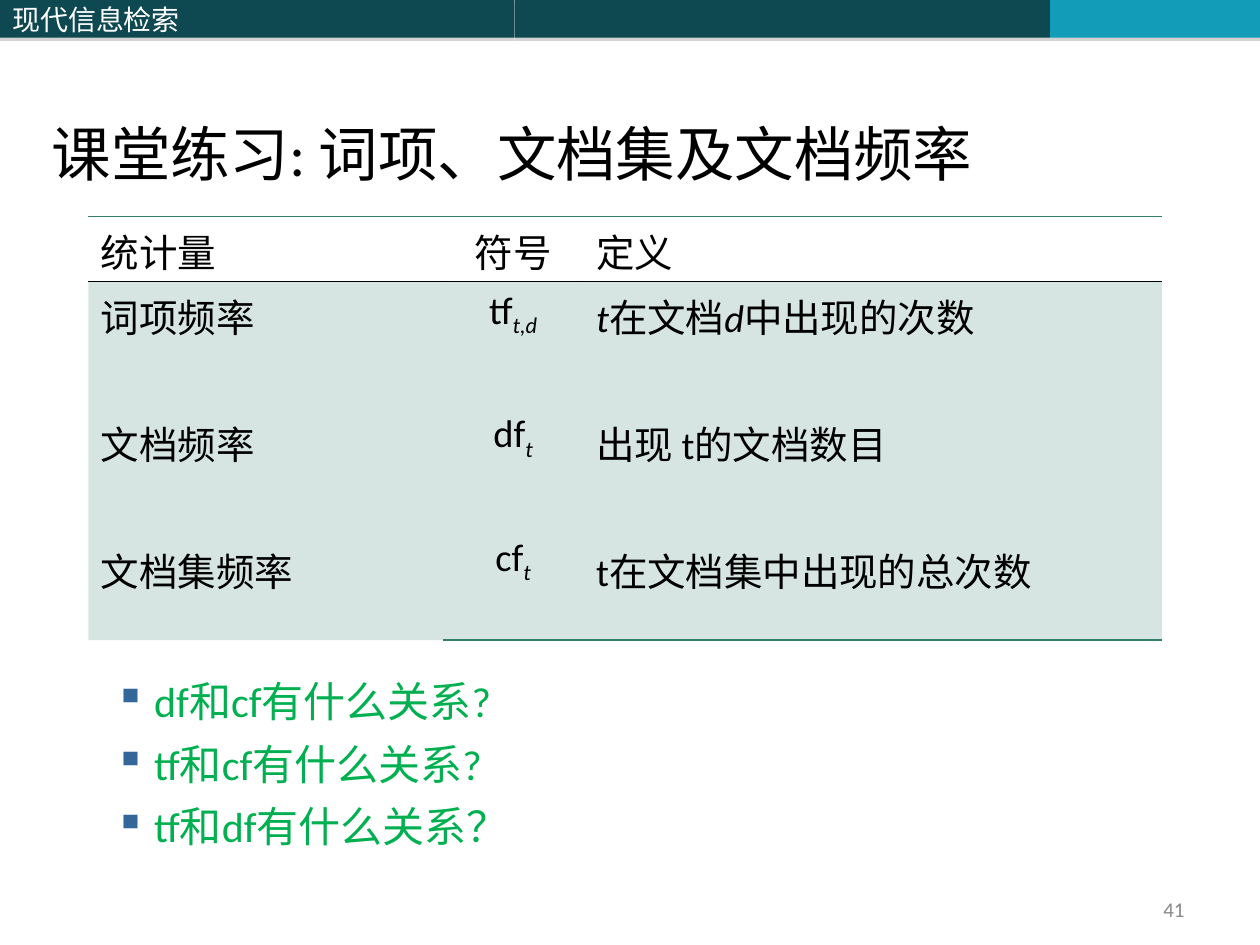
from dataclasses import dataclass
from typing import Optional

from lxml import etree
from pptx import Presentation
from pptx.dml import color
from pptx.enum import shapes, text
from pptx.oxml import ns
from pptx.util import Pt

LATIN, CJK = "Calibri", "Noto Sans CJK SC"
BLACK, WHITE, GREEN = "000000", "FFFFFF", "357E69"
LEFT, CENTER, RIGHT = text.PP_ALIGN.LEFT, text.PP_ALIGN.CENTER, text.PP_ALIGN.RIGHT
TOP, MIDDLE, BOTTOM = (text.MSO_ANCHOR.TOP, text.MSO_ANCHOR.MIDDLE,
                       text.MSO_ANCHOR.BOTTOM)
NO_STYLE = "{2D5ABB26-0587-4C30-8999-92F81FD0307C}"


@dataclass
class Span:
    text: str
    italic: bool = False
    subscript: bool = False


@dataclass
class Style:
    size: float
    color: str = BLACK
    font: str = LATIN
    align: text.PP_ALIGN = LEFT
    gap: float = 0


@dataclass
class Bar:
    left: float
    width: float
    color: str
    label: str = ""


@dataclass
class Column:
    width: float
    heading: str
    entries: list
    align: text.PP_ALIGN = LEFT
    bottom: Optional[str] = GREEN


def rgb(value: str) -> color.RGBColor:
    return color.RGBColor.from_string(value)


def add_xml(parent, tag: str, **attributes):
    element = etree.SubElement(parent, ns.qn(tag))
    for name, value in attributes.items():
        element.set(name, str(value))
    return element


def write(frame, paras: list, style: Style) -> None:
    """Fill a text frame; every paragraph is a list of spans."""
    for index, spans in enumerate(paras):
        para = frame.paragraphs[0] if index == 0 else frame.add_paragraph()
        para.alignment = style.align
        if style.gap:
            para.space_before = Pt(style.gap)
        font = para.font
        font.size, font.name = Pt(style.size), style.font
        font.color.rgb = rgb(style.color)
        add_xml(para._p.pPr.find(ns.qn("a:defRPr")), "a:ea", typeface=CJK)
        for span in spans:
            run = para.add_run()
            run.text = span.text
            if span.italic:
                run.font.italic = True
            if span.subscript:
                run._r.get_or_add_rPr().set("baseline", "-25000")


def add_text(page, left, top, width, height, lines: list, style: Style, anchor=TOP):
    box = page.shapes.add_textbox(Pt(left), Pt(top), Pt(width), Pt(height))
    frame = box.text_frame
    frame.word_wrap = True
    frame.vertical_anchor = anchor
    write(frame, [[Span(line)] for line in lines], style)
    return frame


def add_bar(page, bar: Bar) -> None:
    shape = page.shapes.add_shape(shapes.MSO_SHAPE.RECTANGLE, Pt(bar.left), 0,
                                  Pt(bar.width), Pt(21.6))
    shape.fill.solid()
    shape.fill.fore_color.rgb = rgb(bar.color)
    shape.line.fill.background()
    shape.shadow.inherit = False
    effects = shape._element.spPr.find(ns.qn("a:effectLst"))
    shadow = add_xml(effects, "a:outerShdw", dist=Pt(1.8), dir=5400000)
    add_xml(add_xml(shadow, "a:srgbClr", val="808080"), "a:alpha", val=35000)
    if bar.label:
        shape.text_frame.vertical_anchor = MIDDLE
        write(shape.text_frame, [[Span(bar.label)]], Style(16, WHITE, CJK))


def format_cell(cell, top: str, bottom: Optional[str], fill: Optional[str]) -> None:
    properties = cell._tc.get_or_add_tcPr()
    for side, line_color in (("a:lnT", top), ("a:lnB", bottom)):
        if line_color:
            line = add_xml(properties, side, w=Pt(1))
            add_xml(add_xml(line, "a:solidFill"), "a:srgbClr", val=line_color)
    if fill:
        cell.fill.solid()
        cell.fill.fore_color.rgb = rgb(fill)
        add_xml(properties.find(ns.qn("a:solidFill"))[0], "a:alpha", val=20000)
    else:
        cell.fill.background()


def add_statistics(page, columns: list) -> None:
    heights = (37, 205)
    frame = page.shapes.add_table(2, len(columns), Pt(50.5), Pt(123.8),
                                  Pt(sum(column.width for column in columns)),
                                  Pt(sum(heights)))
    table = frame.table
    table.first_row = table.horz_banding = False
    table._tbl.tblPr.find(ns.qn("a:tableStyleId")).text = NO_STYLE
    for row, height in zip(table.rows, heights):
        row.height = Pt(height)
    for index, column in enumerate(columns):
        table.columns[index].width = Pt(column.width)
        head, body = table.cell(0, index), table.cell(1, index)
        write(head.text_frame, [[Span(column.heading)]], Style(22, align=column.align))
        write(body.text_frame, column.entries, Style(22, align=column.align, gap=40.8))
        body.text_frame.paragraphs[0].space_before = Pt(7)
        format_cell(head, GREEN, BLACK, None)
        format_cell(body, BLACK, column.bottom, GREEN)


def symbol(name: str, index: str) -> list:
    return [Span(name), Span(index, italic=True, subscript=True)]


deck = Presentation()
deck.slide_width, deck.slide_height = Pt(720), Pt(540)
page = deck.slides.add_slide(deck.slide_layouts[6])

# Header band
for bar in (Bar(0, 294, "0E4851", "现代信息检索"),
            Bar(294, 306, "0E4851"),
            Bar(600, 120, "139CB7")):
    add_bar(page, bar)

# Title
add_text(page, 22.5, 0.9, 697.5, 110, ["课堂练习: 词项、文档集及文档频率"],
         Style(34), BOTTOM)

# Table of statistics
add_statistics(page, [
    Column(202.5, "统计量",
           [[Span("词项频率")], [Span("文档频率")], [Span("文档集频率")]], bottom=None),
    Column(80.5, "符号",
           [symbol("tf", "t,d"), symbol("df", "t"), symbol("cf", "t")], CENTER),
    Column(330.5, "定义",
           [[Span("t", italic=True), Span("在文档"), Span("d", italic=True),
             Span("中出现的次数")],
            [Span("出现 t的文档数目")],
            [Span("t在文档集中出现的总次数")]]),
])

# Questions
questions = add_text(page, 22.5, 382.5, 652.5, 150,
                     ["df和cf有什么关系?", "tf和cf有什么关系?", "tf和df有什么关系？"],
                     Style(24, "00B050", gap=7))
for para in questions.paragraphs:
    properties = para._p.pPr
    properties.set("marL", str(Pt(58.5)))
    properties.set("indent", str(Pt(-22.5)))
    bullet_color = etree.Element(ns.qn("a:buClr"))
    add_xml(bullet_color, "a:srgbClr", val="336699")
    bullet = etree.Element(ns.qn("a:buChar"), char="▪")
    default_run = properties.find(ns.qn("a:defRPr"))
    default_run.addprevious(bullet_color)
    default_run.addprevious(bullet)

# Page number
add_text(page, 516, 510, 168, 19.5, ["41"], Style(12, "898989", align=RIGHT), MIDDLE)

deck.save("out.pptx")
